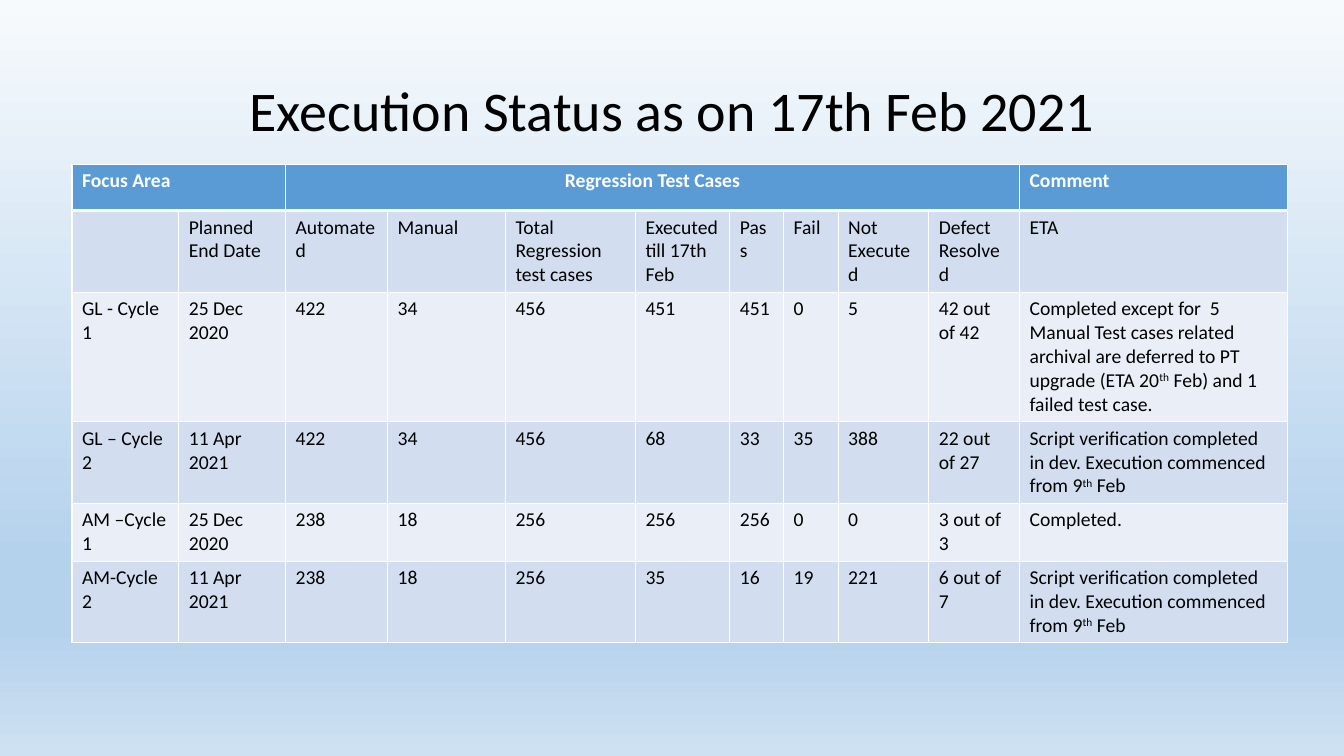
from lxml.etree import SubElement
from pptx import Presentation
from pptx.dml.color import RGBColor
from pptx.enum.text import MSO_ANCHOR as Anchor, PP_ALIGN as Align
from pptx.oxml.ns import qn
from pptx.util import Pt

COLOURS = {
    "text": "000000", "white": "FFFFFF", "header": "5B9BD5",
    "band_dark": "D2DEEF", "band_light": "EAEFF7",
}
BACKGROUND_STOPS = [(0, "F7FAFD"), (74, "B5D2EC"), (83, "B5D2EC"), (100, "CEE1F2")]
COLUMN_WIDTHS = [76.3, 76.3, 72.9, 84.2, 92.9, 67.4, 38.4, 39, 64.8, 64.8, 191.3]
ROW_HEIGHTS = [33, 58.4, 92.4, 58.4, 41.2, 58.4]
HEADER_SPANS = [(0, 1, "Focus Area"), (2, 9, "Regression Test Cases"), (10, 10, "Comment")]
SCRIPT_COMMENT = "Script verification completed in dev. Execution commenced from 9^th^ Feb"
ROWS = [
    ["", "Planned End Date", "Automated", "Manual", "Total Regression test cases",
     "Executed till 17th Feb", "Pass", "Fail", "Not Executed", "Defect Resolved", "ETA"],
    ["GL - Cycle 1", "25 Dec 2020", "422", "34", "456", "451", "451", "0", "5", "42 out of 42",
     "Completed except for  5 Manual Test cases related archival are deferred to PT upgrade "
     "(ETA 20^th^ Feb) and 1 failed test case."],
    ["GL – Cycle 2", "11 Apr 2021", "422", "34", "456", "68", "33", "35", "388",
     "22 out of 27", SCRIPT_COMMENT],
    ["AM –Cycle 1", "25 Dec 2020", "238", "18", "256", "256", "256", "0", "0",
     "3 out of  3", "Completed."],
    ["AM-Cycle 2", "11 Apr 2021", "238", "18", "256", "35", "16", "19", "221",
     "6 out of 7", SCRIPT_COMMENT],
]


def write_text(text_frame, text, size=14, colour="text", bold=False, align=Align.LEFT,
               line_spacing=None):
    """Fill the first paragraph; text between ^ marks is superscript."""
    paragraph = text_frame.paragraphs[0]
    paragraph.alignment = align
    paragraph.line_spacing = line_spacing
    paragraph.font.size = Pt(size)
    for index, part in enumerate(text.split("^")):
        run = paragraph.add_run()
        run.text = part
        run.font.name = "Calibri"
        run.font.size = Pt(size)
        run.font.bold = bold
        run.font.color.rgb = RGBColor.from_string(COLOURS[colour])
        if index % 2:
            run._r.get_or_add_rPr().set("baseline", "30000")


class StatusSlide:
    def __init__(self, presentation):
        self.slide = presentation.slides.add_slide(presentation.slide_layouts[5])

    def background(self, stops):
        fill = self.slide.background.fill
        fill.gradient()
        fill.gradient_angle = 270
        stop_list = next(self.slide.element.iter(qn("a:gsLst")))
        for stop in list(stop_list):
            stop_list.remove(stop)
        for position, colour in stops:
            stop = SubElement(stop_list, qn("a:gs"), pos=str(position * 1000))
            SubElement(stop, qn("a:srgbClr"), val=colour)

    def title(self, text, left, top, width, height):
        title = self.slide.shapes.title
        title.left, title.top, title.width, title.height = map(Pt, (left, top, width, height))
        title.text_frame.word_wrap = True
        title.text_frame.vertical_anchor = Anchor.MIDDLE
        write_text(title.text_frame, text, size=40, align=Align.CENTER, line_spacing=0.9)

    def style_cell(self, cell, fill, top=1, bottom=1):
        properties = cell._tc.get_or_add_tcPr()
        for side, width in (("L", 1), ("R", 1), ("T", top), ("B", bottom)):
            line = SubElement(properties, qn(f"a:ln{side}"), w=str(Pt(width)))
            solid = SubElement(line, qn("a:solidFill"))
            SubElement(solid, qn("a:srgbClr"), val=COLOURS["white"])
        cell.fill.solid()
        cell.fill.fore_color.rgb = RGBColor.from_string(COLOURS[fill])

    def table(self, left, top):
        frame = self.slide.shapes.add_table(
            len(ROW_HEIGHTS), len(COLUMN_WIDTHS), Pt(left), Pt(top),
            Pt(sum(COLUMN_WIDTHS)), Pt(sum(ROW_HEIGHTS)))
        table = frame.table
        for column, width in zip(table.columns, COLUMN_WIDTHS):
            column.width = Pt(width)
        for row, height in zip(table.rows, ROW_HEIGHTS):
            row.height = Pt(height)
        for cell in table.rows[0].cells:
            self.style_cell(cell, "header", bottom=3)
        for first, last, text in HEADER_SPANS:
            cell = table.cell(0, first)
            if last > first:
                cell.merge(table.cell(0, last))
            align = Align.CENTER if first == 2 else Align.LEFT
            write_text(cell.text_frame, text, colour="white", bold=True, align=align)
        for row_index, texts in enumerate(ROWS, start=1):
            fill = "band_dark" if row_index % 2 else "band_light"
            for column_index, text in enumerate(texts):
                cell = table.cell(row_index, column_index)
                self.style_cell(cell, fill, top=3 if row_index == 1 else 1)
                if text:
                    write_text(cell.text_frame, text)


def main():
    presentation = Presentation()
    presentation.slide_width, presentation.slide_height = Pt(960), Pt(540)
    status = StatusSlide(presentation)
    status.background(BACKGROUND_STOPS)
    status.title("Execution Status as on 17th Feb 2021", 66, 28.75, 828, 104.4)
    status.table(51.4, 117.3)
    presentation.save("out.pptx")


if __name__ == "__main__":
    main()
